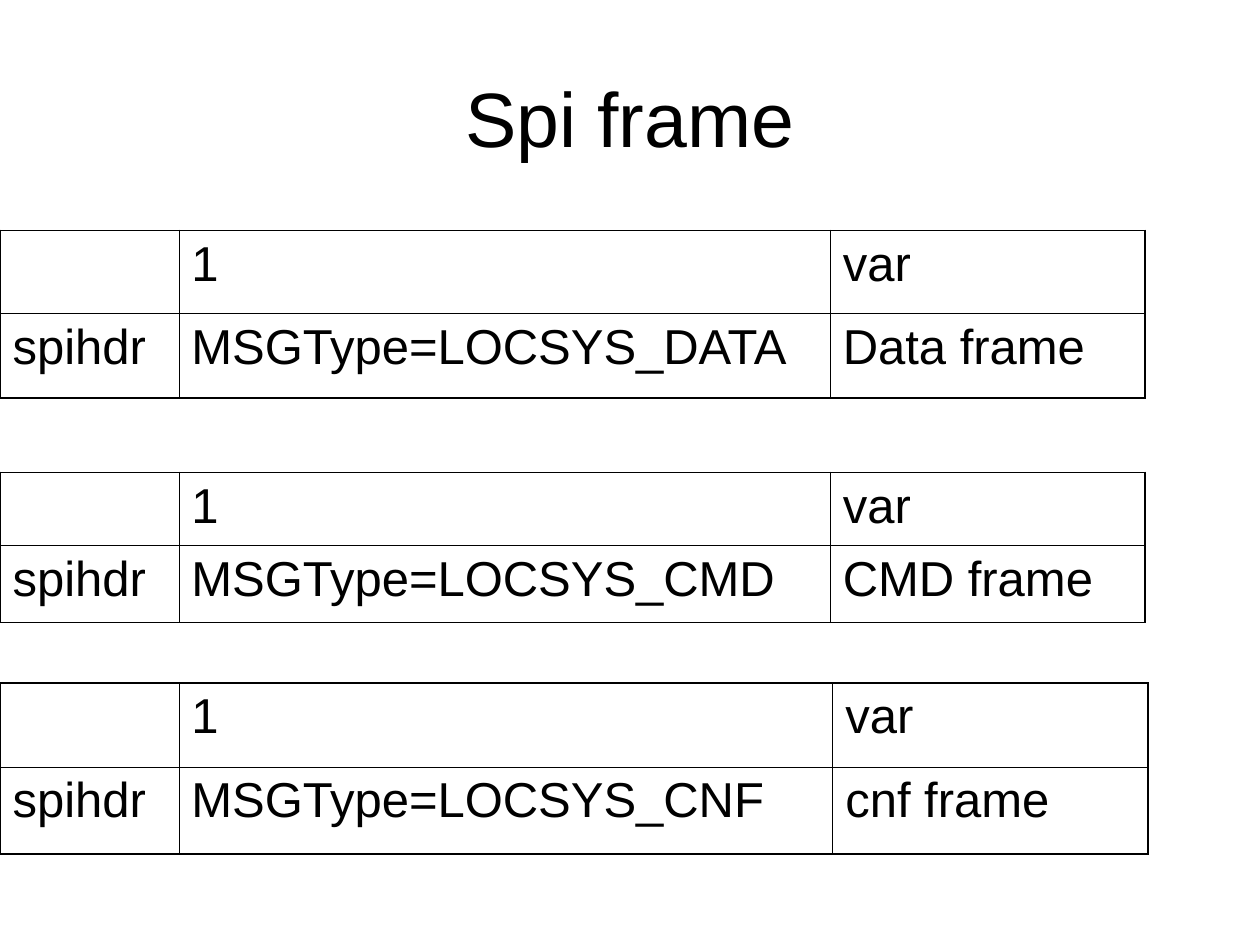
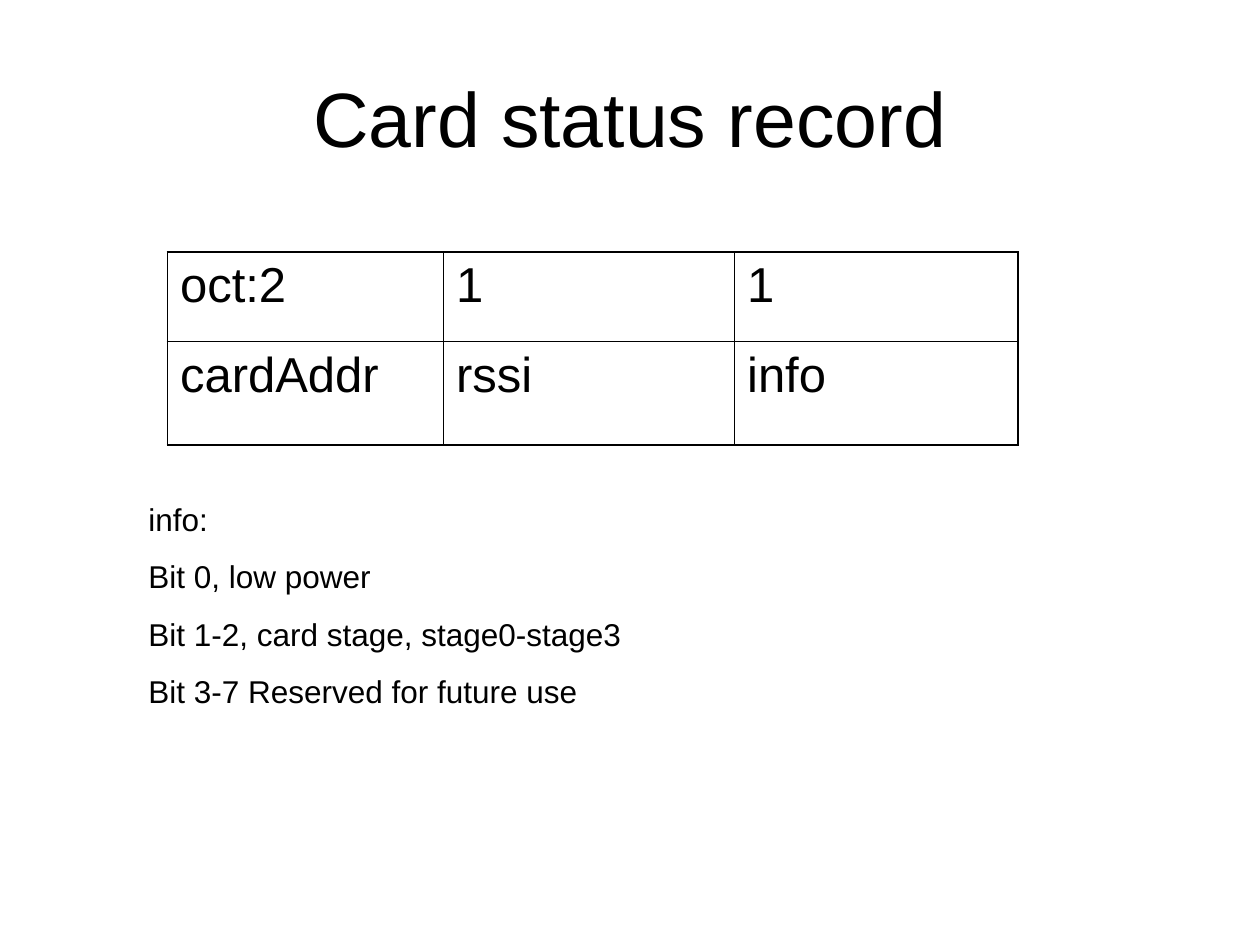
from lxml import etree
from pptx import Presentation
from pptx.dml.color import RGBColor
from pptx.enum.text import MSO_ANCHOR, MSO_AUTO_SIZE, PP_ALIGN
from pptx.oxml.ns import qn
from pptx.util import Pt

PX = 9144  # EMU per px, 100 px to the inch
BLACK = RGBColor(0x00, 0x00, 0x00)
CENTER, LEFT = PP_ALIGN.CENTER, PP_ALIGN.LEFT
MIDDLE, TOP = MSO_ANCHOR.MIDDLE, MSO_ANCHOR.TOP
GROW = MSO_AUTO_SIZE.SHAPE_TO_FIT_TEXT
TITLE_ONLY = 5
OUTER_LINE, INNER_LINE = Pt(1.08), Pt(0.45)


class DeckBuilder:
    """Holds the shared style and the current slide."""

    font_name = "Arial"
    title_size, cell_size, note_size = 44, 28, 18
    cell_gap, note_gap = 7, 11.2

    def __init__(self, deck):
        self.deck = deck
        self.page = None

    def add_text(self, para, text, size, align=LEFT, gap=0):
        para.alignment = align
        para.space_before = Pt(gap)
        span = para.add_run()
        span.text = text
        span.font.name = self.font_name
        span.font.size = Pt(size)
        span.font.color.rgb = BLACK

    def add_page(self, title):
        self.page = self.deck.slides.add_slide(self.deck.slide_layouts[TITLE_ONLY])
        box = self.page.shapes.title
        box.left, box.top, box.width, box.height = (n * PX for n in (50, 30, 900, 125))
        box.text_frame.vertical_anchor = MIDDLE
        self.add_text(box.text_frame.paragraphs[0], title, self.title_size, CENTER)

    def add_border(self, cell, side, width):
        line = etree.SubElement(cell._tc.get_or_add_tcPr(), qn(f"a:ln{side}"), w=str(width))
        fill = etree.SubElement(line, qn("a:solidFill"))
        etree.SubElement(fill, qn("a:srgbClr"), val=str(BLACK))

    def add_grid(self, left, top, widths, heights, rows):
        frame = self.page.shapes.add_table(
            len(heights), len(widths), left * PX, top * PX, sum(widths) * PX, sum(heights) * PX)
        table = frame.table
        table.first_row = table.horz_banding = False
        for column, width in zip(table.columns, widths):
            column.width = width * PX
        for row, height in zip(table.rows, heights):
            row.height = height * PX
        last_row, last_column = len(heights) - 1, len(widths) - 1
        for r, texts in enumerate(rows):
            for c, text in enumerate(texts):
                cell = table.cell(r, c)
                cell.vertical_anchor = TOP
                # Heavier lines on the outside of the grid
                edges = {"L": c == 0, "R": c == last_column, "T": r == 0, "B": r == last_row}
                for side, outside in edges.items():
                    self.add_border(cell, side, OUTER_LINE if outside else INNER_LINE)
                cell.fill.background()
                if text:
                    self.add_text(cell.text_frame.paragraphs[0], text, self.cell_size,
                                  gap=self.cell_gap)

    def add_notes_box(self, left, top, width, height, lines):
        box = self.page.shapes.add_textbox(left * PX, top * PX, width * PX, height * PX)
        body = box.text_frame
        body.word_wrap = True
        body.auto_size = GROW
        for index, text in enumerate(lines):
            para = body.add_paragraph() if index else body.paragraphs[0]
            self.add_text(para, text, self.note_size, gap=self.note_gap)


def main():
    deck = Presentation()
    deck.slide_width, deck.slide_height = 1000 * PX, 750 * PX
    builder = DeckBuilder(deck)

    # Frame layouts, one grid per message type
    builder.add_page("Spi frame")
    frames = [
        (183, 517, (66, 67), "DATA", "Data frame"),
        (375, 517, (58, 61), "CMD", "CMD frame"),
        (542, 519, (67, 69), "CNF", "cnf frame"),
    ]
    for top, type_width, heights, message, payload in frames:
        builder.add_grid(0, top, (142, type_width, 250), heights, [
            ("", "1", "var"),
            ("spihdr", f"MSGType=LOCSYS_{message}", payload),
        ])

    # Card record and the bits of its info field
    builder.add_page("Card status record")
    builder.add_grid(133, 200, (219, 231, 225), (71, 82), [
        ("oct:2", "1", "1"),
        ("cardAddr", "rssi", "info"),
    ])
    builder.add_notes_box(108, 392, 717, 177, [
        "info:",
        "Bit 0, low power",
        "Bit 1-2, card stage, stage0-stage3",
        "Bit 3-7 Reserved for future use",
    ])

    deck.save("out.pptx")


if __name__ == "__main__":
    main()
